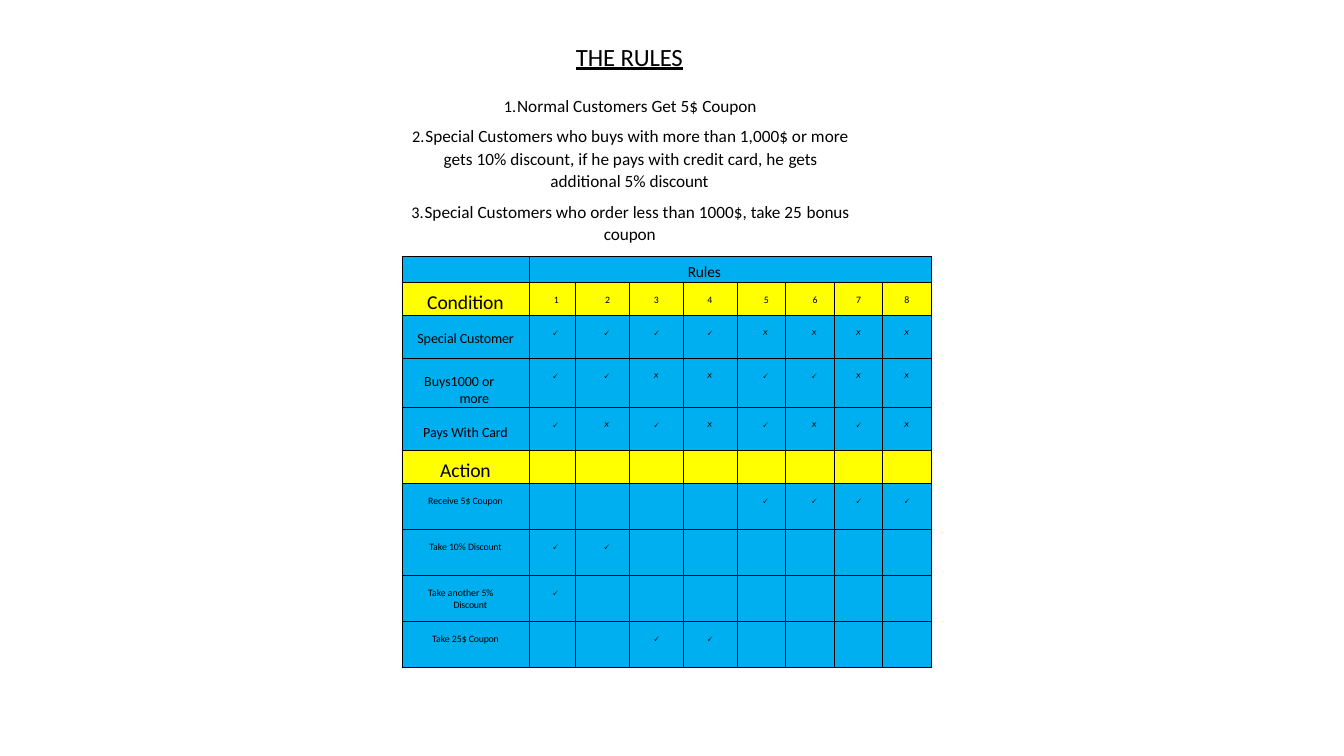
from dataclasses import dataclass

from lxml.etree import SubElement
from pptx import Presentation
from pptx.dml.color import RGBColor
from pptx.enum.text import MSO_ANCHOR, PP_ALIGN as Align
from pptx.oxml.ns import qn
from pptx.util import Cm, Pt


@dataclass(frozen=True)
class Theme:
    text: RGBColor = RGBColor(0, 0, 0)
    blue: RGBColor = RGBColor(0x00, 0xAF, 0xEF)
    yellow: RGBColor = RGBColor(0xFF, 0xFF, 0x00)
    border: str = "000000"
    font: str = "Calibri"
    mark_font: str = "Arial"
    title: float = 17.7
    body: float = 12.3
    section: float = 14
    header: float = 11
    condition: float = 10
    small: float = 7


THEME = Theme()

# Table geometry in centimetres
COLUMNS = (3.2, 1.18, 1.36, 1.34, 1.36, 1.23, 1.23, 1.21, 1.23)
ROWS = (0.66, 0.84, 1.08, 1.23, 1.08, 0.84, 1.16, 1.16, 1.16, 1.16)
MARK_TOP = 0.3
# Left indent of the marks in each rule column; None means centred
MARK_INDENTS = (0.58, 0.69, None, None, 0.63, 0.63, None, None)

# Row, label runs, size, top margin, hanging layout (left, first line), marks
DECISIONS = (
    (2, ("Special", " Customer"), THEME.condition, 0.38, None, "🗸🗸🗸🗸🗴🗴🗴🗴"),
    (3, ("Buys1000 ", "or more"), THEME.condition, 0.38, (1.45, -0.89), "🗸🗸🗴🗴🗸🗸🗴🗴"),
    (4, ("Pays With ", "Card"), THEME.condition, 0.42, None, "🗸🗴🗸🗴🗸🗴🗸🗴"),
    (6, ("Receive 5$", " Coupon"), THEME.small, MARK_TOP, None, "    🗸🗸🗸🗸"),
    (7, ("Take 10% ", "Discount"), THEME.small, MARK_TOP, None, "🗸🗸      "),
    (8, ("Take another ", "5% Discount"), THEME.small, MARK_TOP, (1.3, -0.64), "🗸       "),
    (9, ("Take 25$", " Coupon"), THEME.small, MARK_TOP, None, "  🗸🗸    "),
)


def add_runs(paragraph, texts, size, font=THEME.font, spacing=None, underline=None):
    """Add runs; unless a spacing is given, the last of several is tightened."""
    for index, text in enumerate(texts):
        run = paragraph.add_run()
        run.text = text
        run.font.size = Pt(size)
        run.font.name = font
        run.font.color.rgb = THEME.text
        run.font.underline = underline
        tight = -10 if index and index == len(texts) - 1 else 0
        run.font._element.set("spc", str(tight if spacing is None else spacing))


def set_indent(paragraph, left, first=0):
    properties = paragraph._p.get_or_add_pPr()
    properties.set("marL", str(Cm(left)))
    properties.set("indent", str(Cm(first)))
    return properties


def add_text_box(slide, left, top, width, height, top_margin=0):
    frame = slide.shapes.add_textbox(Cm(left), Cm(top), Cm(width), Cm(height)).text_frame
    frame.word_wrap = True
    frame.margin_left = frame.margin_right = frame.margin_bottom = 0
    frame.margin_top = Cm(top_margin)
    return frame


def add_rule(paragraph, texts, left, before, line=None, number=None, tab=None):
    """Write one line of the rules, numbered when a number is given."""
    paragraph.alignment = Align.LEFT
    paragraph.space_before = Pt(before)
    if line:
        paragraph.line_spacing = line
    properties = set_indent(paragraph, left, -0.33 if number else 0)
    if number:
        SubElement(properties, qn("a:buSzPct"), val="94000")
        SubElement(properties, qn("a:buAutoNum"), type="arabicPeriod", startAt=str(number))
    if tab:
        tabs = SubElement(properties, qn("a:tabLst"))
        SubElement(tabs, qn("a:tab"), pos=str(Cm(tab)), algn="l")
    add_runs(paragraph, texts, THEME.body)


def style_cell(cell, fill):
    """Clear the margins, draw thin borders and fill the cell."""
    cell.margin_left = cell.margin_right = cell.margin_top = cell.margin_bottom = 0
    properties = cell._tc.get_or_add_tcPr()
    for side in ("lnL", "lnR", "lnT", "lnB"):
        line = SubElement(properties, qn(f"a:{side}"), w=str(Pt(0.5)))
        solid = SubElement(line, qn("a:solidFill"))
        SubElement(solid, qn("a:srgbClr"), val=THEME.border)
    cell.fill.solid()
    cell.fill.fore_color.rgb = fill
    end = cell.text_frame.paragraphs[0]._p.get_or_add_endParaRPr()
    end.set("sz", str(int(THEME.small * 100)))


def fill_cell(cell, texts, size, top=0.0, indent=None, line=None, **run_style):
    """Write a cell: centred, or left aligned when an indent is given."""
    cell.margin_top = Cm(top)
    paragraph = cell.text_frame.paragraphs[0]
    paragraph.alignment = Align.LEFT if indent else Align.CENTER
    if line:
        paragraph.line_spacing = Pt(line)
    if indent:
        set_indent(paragraph, *indent)
    add_runs(paragraph, texts, size, **run_style)


def add_decision_table(slide):
    frame = slide.shapes.add_table(len(ROWS), len(COLUMNS), Cm(10.13), Cm(6.45),
                                   Cm(sum(COLUMNS)), Cm(sum(ROWS)))
    table = frame.table
    table.first_row = table.horz_banding = False
    for column, width in zip(table.columns, COLUMNS):
        column.width = Cm(width)
    for index, (row, height) in enumerate(zip(table.rows, ROWS)):
        row.height = Cm(height)
        for cell in row.cells:
            style_cell(cell, THEME.yellow if index in (1, 5) else THEME.blue)

    # Header and section names
    header = table.cell(0, 1)
    header.merge(table.cell(0, len(COLUMNS) - 1))
    fill_cell(header, ["Rules"], THEME.header, line=18.7, spacing=-10)
    header.margin_right = Cm(1.3)
    for row, name in ((1, "Condition"), (5, "Action")):
        fill_cell(table.cell(row, 0), [name], THEME.section, line=23.2, spacing=-10)

    # Rule numbers
    for column, left in enumerate(MARK_INDENTS, start=1):
        fill_cell(table.cell(1, column), [str(column)], THEME.small, MARK_TOP,
                  indent=left and (left + 0.05,))

    # Conditions and actions with their marks
    for row, label, size, top, hanging, marks in DECISIONS:
        label_cell = table.cell(row, 0)
        fill_cell(label_cell, label, size, top, indent=hanging)
        if hanging:
            label_cell.margin_right = Cm(0.5)
        for column, (mark, left) in enumerate(zip(marks, MARK_INDENTS), start=1):
            if mark.strip():
                fill_cell(table.cell(row, column), [mark], THEME.small, MARK_TOP,
                          indent=left and (left,), font=THEME.mark_font, spacing=-50)


def main():
    presentation = Presentation()
    presentation.slide_width = Cm(33.87)
    presentation.slide_height = Cm(19.05)
    slide = presentation.slides.add_slide(presentation.slide_layouts[6])

    # Title
    title = add_text_box(slide, 13, 1, 5.72, 0.8, top_margin=0.03)
    title.vertical_anchor = MSO_ANCHOR.MIDDLE
    title.paragraphs[0].alignment = Align.CENTER
    add_runs(title.paragraphs[0], ["THE", " RULES"], THEME.title, underline=True)

    # Rules
    rules = add_text_box(slide, 10.34, 2.11, 11.07, 4, top_margin=0.28)
    add_rule(rules.paragraphs[0], ["Normal Customers Get 5$ ", "Coupon"],
             2.69, 7.6, number=1, tab=2.69)
    add_rule(rules.add_paragraph(),
             ["Special Customers who buys with more than 1,000$ or ", "more \t",
              "gets 10% discount, if he pays with credit card, he ", "gets"],
             0.38, 5.5, line=1.1, number=2, tab=0.84)
    add_rule(rules.add_paragraph(), ["additional 5%", " discount"], 3.53, 1.4)
    add_rule(rules.add_paragraph(),
             ["Special Customers who order less than 1000$, take 25 ", "bonus \tcoupon"],
             0.36, 5.6, line=1.09, number=3, tab=4.88)

    add_decision_table(slide)
    presentation.save("out.pptx")


if __name__ == "__main__":
    main()
